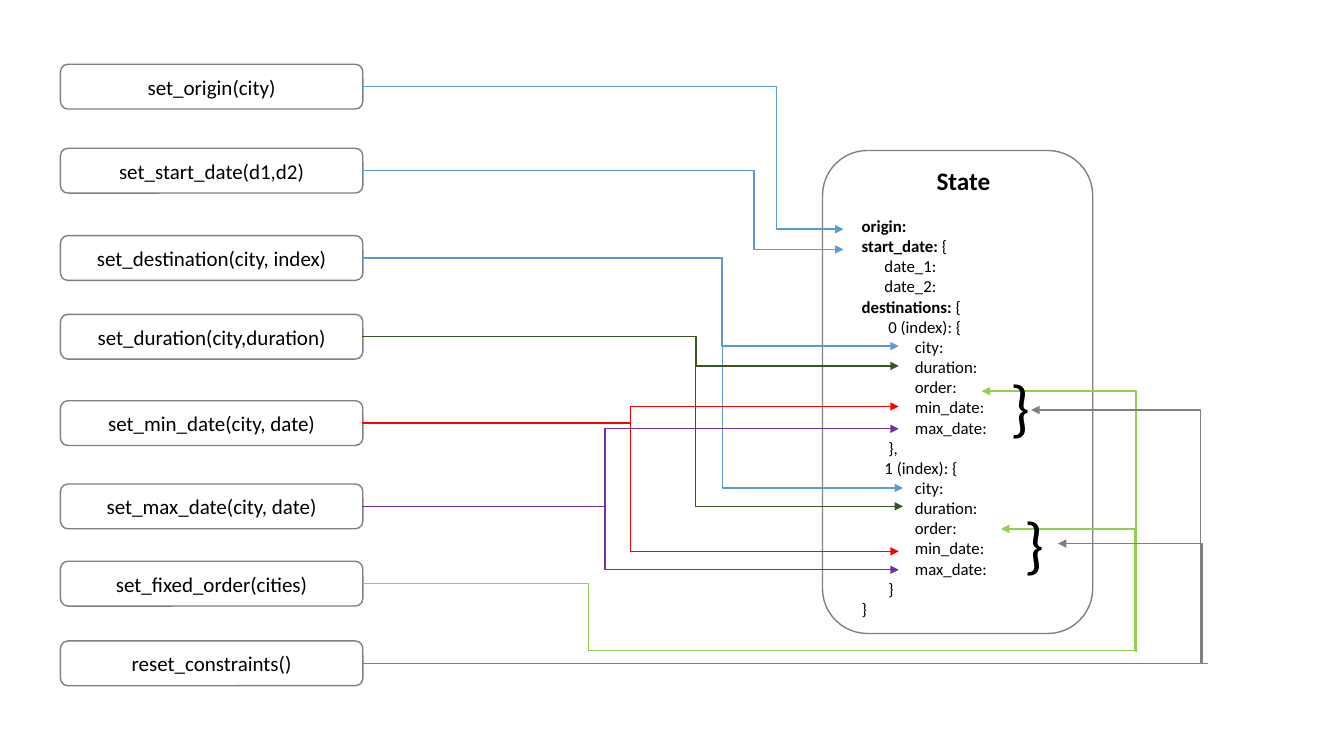
from dataclasses import dataclass

import lxml.etree
import pptx
import pptx.dml.color
import pptx.enum.shapes
import pptx.enum.text
import pptx.oxml.ns
import pptx.util

Pt = pptx.util.Pt
qn = pptx.oxml.ns.qn
SubElement = lxml.etree.SubElement


@dataclass(frozen=True)
class Theme:
    font: str = "Calibri"
    text: str = "000000"
    fill: str = "FFFFFF"
    gray: str = "808080"
    blue: str = "5B9BD5"
    forest: str = "385723"
    red: str = "FF0000"
    purple: str = "7030A0"
    green: str = "92D050"
    body: int = 12
    call: int = 15
    title: int = 18
    brace: int = 45
    line: int = 1


def rgb(value):
    return pptx.dml.color.RGBColor.from_string(value)


class Builder:
    def __init__(self, s, theme):
        self.s, self.theme = s, theme

    def run(self, p, text, size, bold=False):
        r = p.add_run()
        r.text = text
        r.font.name, r.font.size, r.font.bold = self.theme.font, Pt(size), bold
        r.font.color.rgb = rgb(self.theme.text)

    def box(self, x, y, w, h, text=None):
        kind = pptx.enum.shapes.MSO_SHAPE.ROUNDED_RECTANGLE
        sp = self.s.shapes.add_shape(kind, Pt(x), Pt(y), Pt(w), Pt(h))
        sp.shadow.inherit = False
        sp.fill.solid()
        sp.fill.fore_color.rgb = rgb(self.theme.fill)
        sp.line.color.rgb = rgb(self.theme.gray)
        sp.line.width = Pt(self.theme.line)
        if text:
            tf = sp.text_frame
            tf.vertical_anchor = pptx.enum.text.MSO_ANCHOR.MIDDLE
            p = tf.paragraphs[0]
            p.alignment = pptx.enum.text.PP_ALIGN.CENTER
            self.run(p, text, self.theme.call)

    def text(self, x, y, w, h, lines, size, wrap=True):
        """Each line is (indent, bold part, regular part)."""
        tf = self.s.shapes.add_textbox(Pt(x), Pt(y), Pt(w), Pt(h)).text_frame
        tf.word_wrap = wrap
        for i, (indent, strong, plain) in enumerate(lines):
            p = tf.add_paragraph() if i else tf.paragraphs[0]
            if indent:
                p._p.get_or_add_pPr().set("marL", str(Pt(indent)))
                p._p.get_or_add_pPr().set("indent", "0")
            if strong:
                self.run(p, strong, size, True)
            if plain:
                self.run(p, plain, size)

    def route(self, color, x1, y1, x2, y2, bend=None, arrow=True):
        """Draw a straight line, or an elbow whose vertical part is at bend."""
        kinds = pptx.enum.shapes.MSO_CONNECTOR
        kind = kinds.STRAIGHT if bend is None else kinds.ELBOW
        c = self.s.shapes.add_connector(kind, Pt(x1), Pt(y1), Pt(x2), Pt(y2))
        c.line.color.rgb = rgb(color)
        c.line.width = Pt(self.theme.line)
        sp_pr = c.element.spPr
        if bend is not None:
            adj = round((bend - x1) / (x2 - x1) * 100000)
            guides = sp_pr.find(qn("a:prstGeom")).find(qn("a:avLst"))
            SubElement(guides, qn("a:gd"), name="adj1", fmla=f"val {adj}")
        if arrow:
            SubElement(sp_pr.find(qn("a:ln")), qn("a:tailEnd"), type="triangle")
        SubElement(sp_pr, qn("a:effectLst"))


prs = pptx.Presentation()
prs.slide_width, prs.slide_height = Pt(960), Pt(540)
theme = Theme()
b = Builder(prs.slides.add_slide(prs.slide_layouts[6]), theme)

# State panel
b.box(587.5, 107.5, 193, 345)
DATE, FIRST, FIELD = 16.3, 19, 38
fields = [(FIELD, "", f"{name}:")
          for name in ("city", "duration", "order", "min_date", "max_date")]
state = [
    (0, "origin: ", ""),
    (0, "start_date: ", "{"),
    (DATE, "", "date_1: "),
    (DATE, "", "date_2:"),
    (0, "destinations: ", "{"),
    (FIRST, "", "0 (index): {"),
    *fields,
    (FIRST, "", "},"),
    (DATE, "", "1 (index): {"),
    *fields,
    (FIRST, "", "}"),
    (0, "", "}"),
]
b.text(608.4, 150.5, 159, 298, state, theme.body)
b.text(661.9, 114.5, 53, 29, [(0, "State", "")], theme.title, wrap=False)

# Function calls: label and vertical centre
BOX_X, BOX_W, BOX_H = 43.2, 216, 32
START = BOX_X + BOX_W - 0.5
calls = {
    "set_origin(city)": 61.9,
    "set_start_date(d1,d2)": 121.9,
    "set_destination(city, index)": 184.3,
    "set_duration(city,duration)": 240.5,
    "set_min_date(city, date)": 302.2,
    "set_max_date(city, date)": 361.7,
    "set_fixed_order(cities)": 416.9,
    "reset_constraints()": 473.8,
}
for label, y in calls.items():
    b.box(BOX_X, y - BOX_H / 2, BOX_W, BOX_H, label)
origin, start, dest, duration, min_date, max_date, order, reset = calls.values()

# Setters to state fields: colour, start height, bend, targets
setters = [
    (theme.blue, origin, 554.6, [(602.5, 163.7)]),
    (theme.blue, start, 538.6, [(602.5, 178.2)]),
    (theme.blue, dest, 516, [(642, 247.2), (645, 348.5)]),
    (theme.forest, duration, 497.2, [(642, 261.4), (645, 361.7)]),
    (theme.red, min_date, 450.4, [(642, 393.8), (642, 290.4)]),
    (theme.purple, max_date, 432.5, [(642, 407), (642, 306.3)]),
]
for color, y, bend, targets in setters:
    for x2, y2 in targets:
        b.route(color, START, y, x2, y2, bend)

# Fixed order, around the right side of the panel
b.route(theme.green, START, order, 811.4, 464.6, 420.5, arrow=False)
b.route(theme.green, 811.4, 464.6, 715, 377.8, 810.6)
b.route(theme.green, 811.4, 465.6, 701.3, 279.4, 811.4)

# Reset, to the braced groups of constraints
b.route(theme.gray, START, reset, 862.6, reset, arrow=False)
b.route(theme.gray, 860.4, reset, 755.8, 388.3, 858.5)
b.route(theme.gray, 857.5, reset, 736.6, 292.9, 857.5)
for x, y in ((725, 357.1), (715, 259.2)):
    b.text(x, y, 25.2, 62, [(0, "", "}")], theme.brace)

prs.save("out.pptx")
